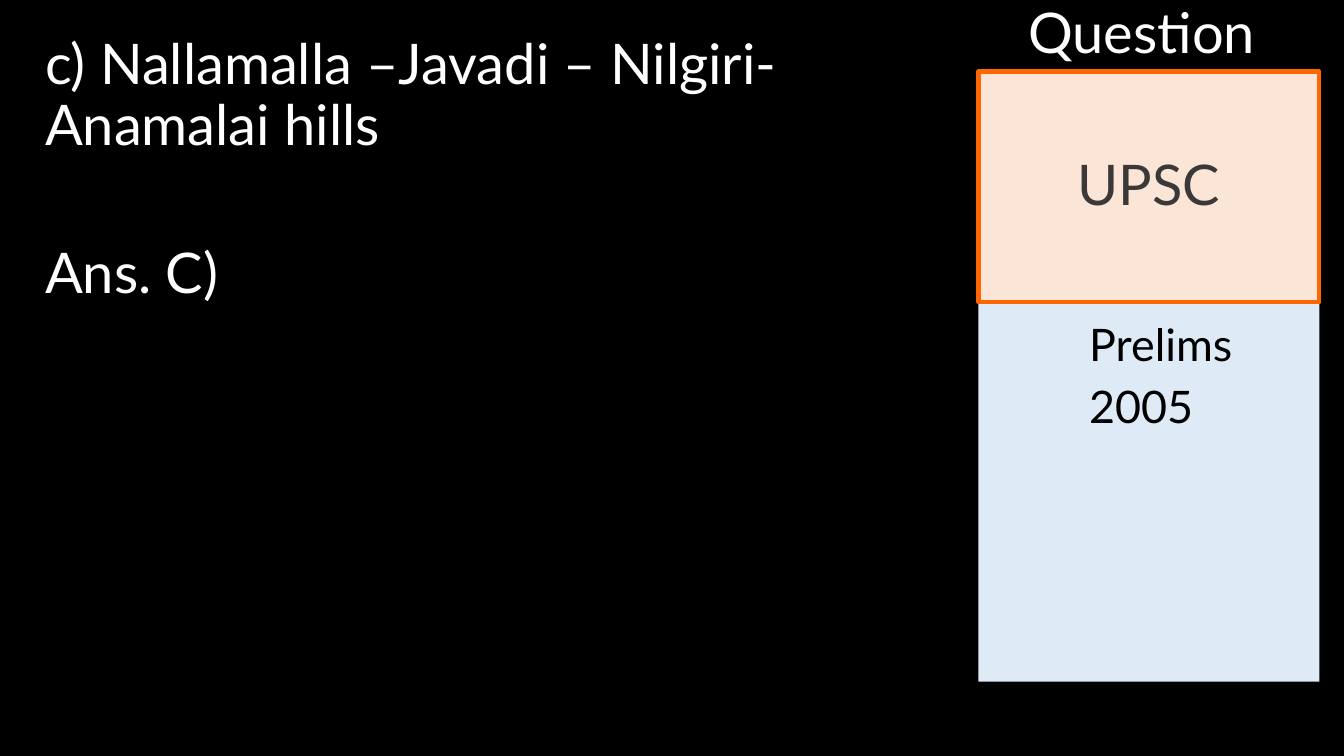
from pptx import Presentation
from pptx.dml.color import RGBColor
from pptx.enum import shapes, text
from pptx.util import Cm, Pt

COLORS = {
    "background": "000000",
    "light_text": "FFFFFF",
    "panel": "DEEBF7",
    "panel_text": "000000",
    "exam": "FBE5D6",
    "exam_border": "FF6600",
    "exam_text": "3B3838",
}
FONT = "Lato"
SIDE_LEFT, SIDE_WIDTH = Cm(24.66), Cm(8.59)


def color(name):
    return RGBColor.from_string(COLORS[name])


def place(shape, left, top, width, height):
    shape.left, shape.top, shape.width, shape.height = left, top, width, height


def write(shape, lines, size, color_name, align=text.PP_ALIGN.LEFT,
          anchor=text.MSO_ANCHOR.TOP, gap=10):
    """Fill a shape with one paragraph per line, gap points apart."""
    frame = shape.text_frame
    frame.word_wrap = True
    frame.auto_size = text.MSO_AUTO_SIZE.NONE
    frame.vertical_anchor = anchor
    frame.text = "\n".join(lines)
    for index, paragraph in enumerate(frame.paragraphs):
        paragraph.alignment = align
        paragraph.line_spacing = 0.9
        paragraph.space_before = Pt(gap if index else 0)
        paragraph.font.name = FONT
        paragraph.font.size = Pt(size)
        paragraph.font.color.rgb = color(color_name)


def add_panel(slide):
    panel = slide.shapes.add_shape(
        shapes.MSO_SHAPE.RECTANGLE, SIDE_LEFT, Cm(4.78), SIDE_WIDTH, Cm(12.4))
    panel.shadow.inherit = False
    panel.fill.solid()
    panel.fill.fore_color.rgb = color("panel")
    panel.line.fill.background()
    write(panel, ["Prelims", "2005"], 32, "panel_text")
    panel.text_frame.margin_left = Cm(2.79)
    panel.text_frame.margin_top = Cm(3.35)
    return panel


def format_title(title):
    place(title, SIDE_LEFT, Cm(1.8), SIDE_WIDTH, Cm(5.82))
    title.fill.solid()
    title.fill.fore_color.rgb = color("exam")
    title.line.color.rgb = color("exam_border")
    title.line.width = Pt(3)
    write(title, ["UPSC"], 40, "exam_text",
          text.PP_ALIGN.CENTER, text.MSO_ANCHOR.MIDDLE)


def main():
    presentation = Presentation()
    presentation.slide_width, presentation.slide_height = Cm(33.87), Cm(19.05)
    slide = presentation.slides.add_slide(presentation.slide_layouts[5])
    slide.background.fill.solid()
    slide.background.fill.fore_color.rgb = color("background")

    title = slide.shapes.title
    format_title(title)
    panel = add_panel(slide)
    panel.element.addnext(title.element)  # the title overlaps the panel

    answer = slide.shapes.add_textbox(Cm(0.89), Cm(0.79), Cm(23.6), Cm(16.36))
    write(answer, ["c) Nallamalla –Javadi – Nilgiri- Anamalai hills", "Ans. C)"],
          40, "light_text", gap=63)

    heading = slide.shapes.add_textbox(SIDE_LEFT, Cm(0), SIDE_WIDTH, Cm(1.8))
    write(heading, ["Question "], 40, "light_text", text.PP_ALIGN.CENTER)

    presentation.save("out.pptx")


if __name__ == "__main__":
    main()
